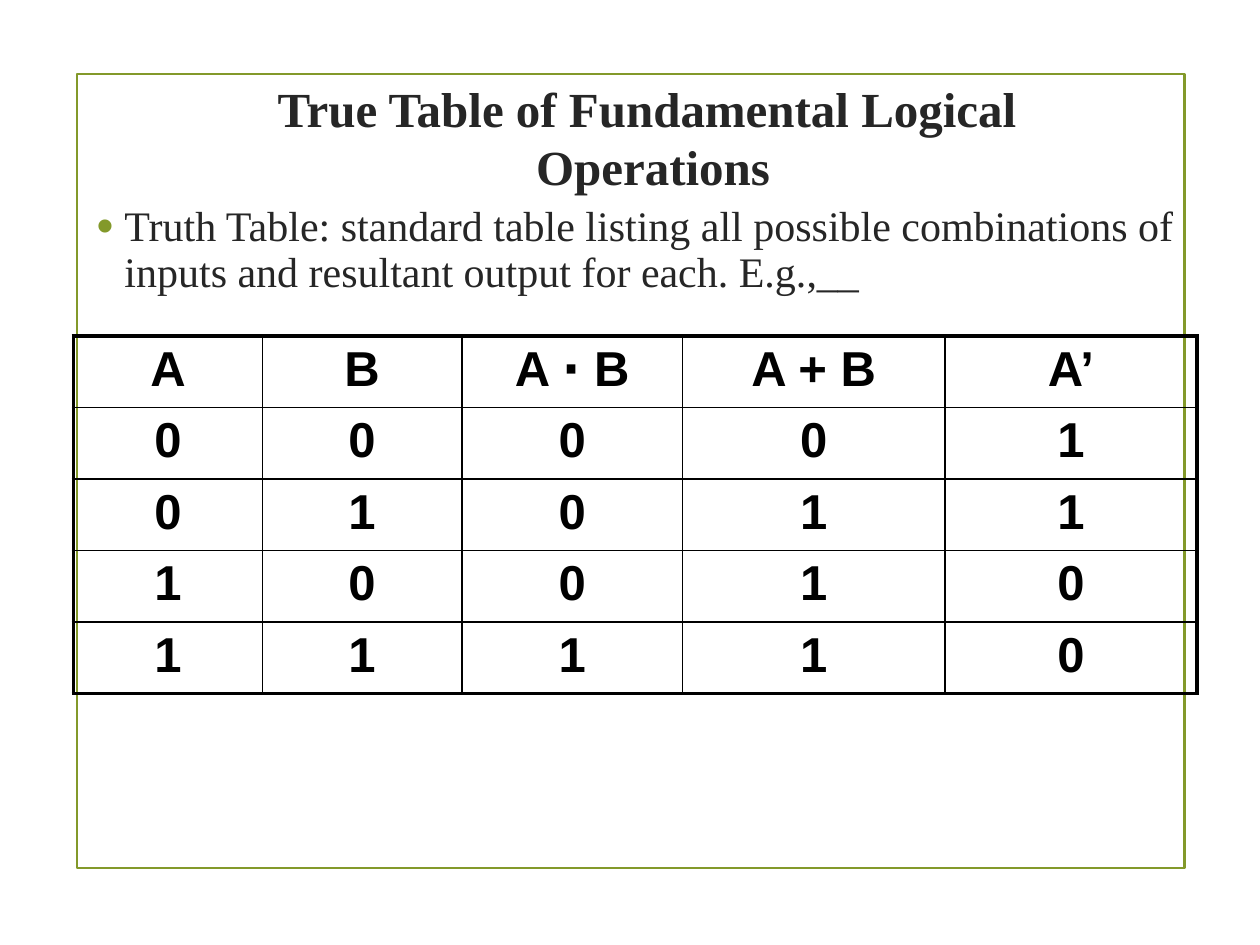
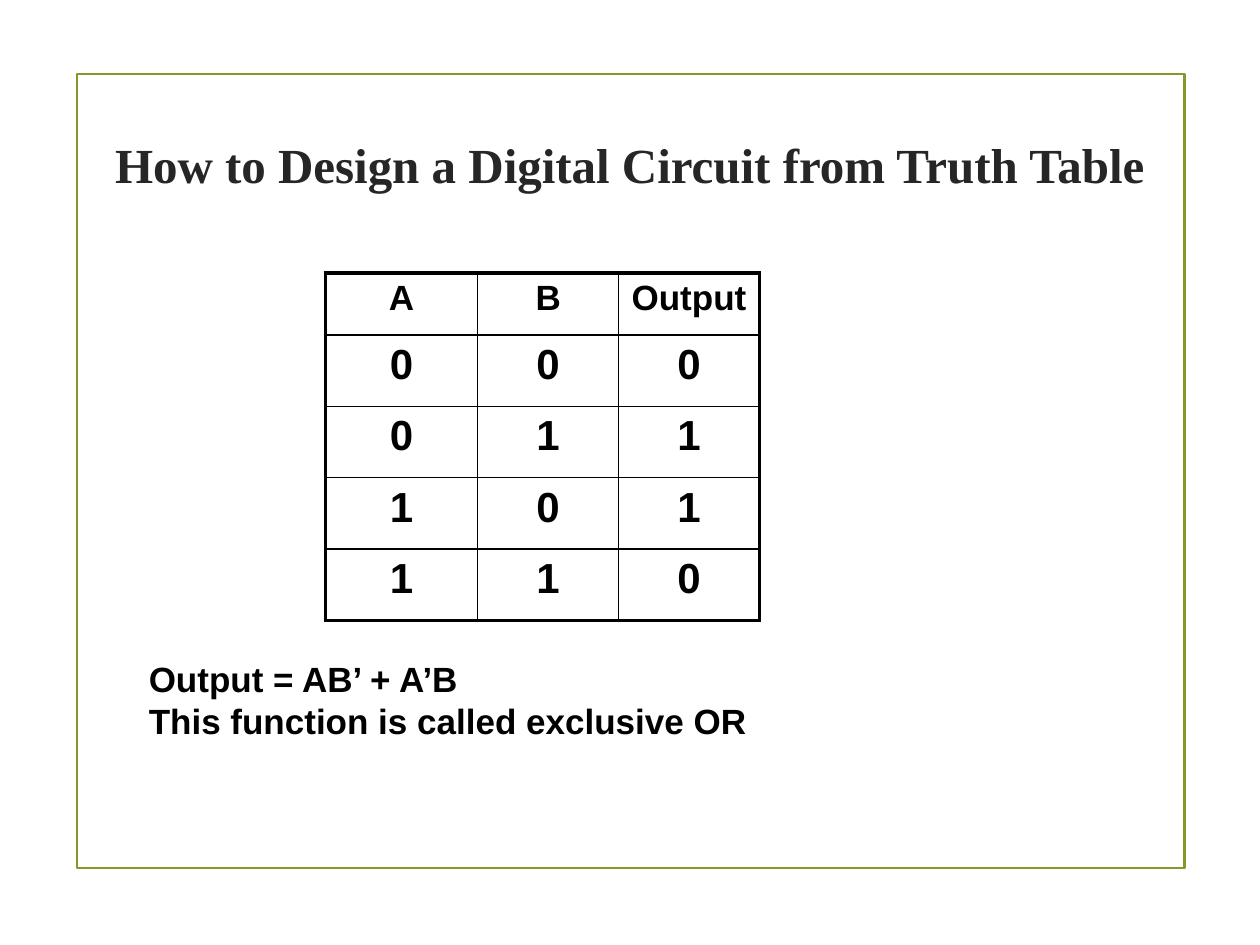
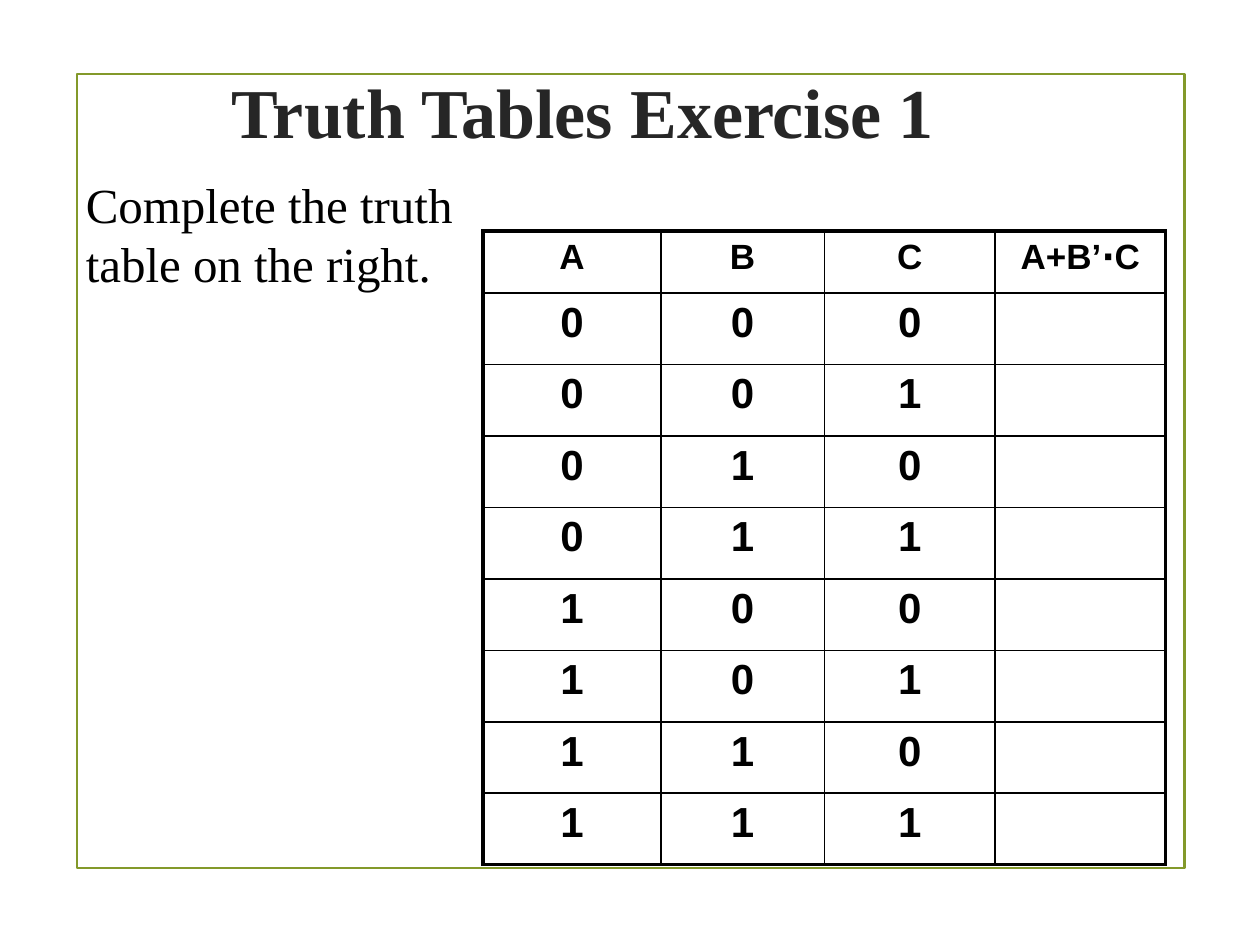
import itertools
import pptx
import pptx.dml.color
import pptx.enum.shapes
import pptx.enum.text
import pptx.oxml
import pptx.oxml.ns
import pptx.util
from dataclasses import dataclass

Cm = pptx.util.Cm
Pt = pptx.util.Pt
Align = pptx.enum.text.PP_ALIGN
Anchor = pptx.enum.text.MSO_ANCHOR


@dataclass(frozen=True)
class Theme:
    serif: str = "Times New Roman"
    sans: str = "Arial"
    black: str = "000000"
    dark: str = "262626"
    green: str = "83992A"
    small: int = 20
    mid: int = 24
    large: int = 28
    huge: int = 40
    thin: float = 1
    thick: float = 2.25
    frame: tuple = (1.55, 1.5, 22.33, 16)


THEME = Theme()


# Shared helpers
def color(code):
    return pptx.dml.color.RGBColor.from_string(code)


def box(spot):
    return [Cm(part) for part in spot]


def style(font, face, size, ink, bold=False):
    looks = {"name": face, "size": Pt(size), "bold": bold}
    for key, value in looks.items():
        setattr(font, key, value)
    font.color.rgb = color(ink)


def add_xml(parent, tag, body="", **attrs):
    extra = "".join(f' {key}="{value}"' for key, value in attrs.items())
    space = pptx.oxml.ns.nsdecls("a")
    parent.append(pptx.oxml.parse_xml(f"<a:{tag} {space}{extra}>{body}</a:{tag}>"))


# Slide with its green frame and its title
def add_slide(deck, title, spot, size):
    slide = deck.slides.add_slide(deck.slide_layouts[5])
    frame = slide.shapes.add_shape(
        pptx.enum.shapes.MSO_SHAPE.RECTANGLE, *box(THEME.frame))
    frame.shadow.inherit = False
    frame.fill.background()
    frame.line.color.rgb = color(THEME.green)
    frame.line.width = Pt(1.25)

    head = slide.shapes.title
    head.left, head.top, head.width, head.height = box(spot)
    text = head.text_frame
    text.text = title
    looks = {"auto_size": pptx.enum.text.MSO_AUTO_SIZE.NONE,
             "word_wrap": True, "vertical_anchor": Anchor.MIDDLE}
    for key, value in looks.items():
        setattr(text, key, value)
    for para in text.paragraphs:
        para.alignment = Align.CENTER
        for run in para.runs:
            style(run.font, THEME.serif, size, THEME.dark, True)
    return slide


# Plain lines of text
def add_lines(slide, spot, lines, face, size, bold=False, wrap=True):
    text = slide.shapes.add_textbox(*box(spot)).text_frame
    text.word_wrap = wrap
    text.text = "\n".join(lines)
    for para in text.paragraphs:
        style(para.runs[0].font, face, size, THEME.black, bold)


# Bulleted point that ends in an underlined gap
def add_point(slide, spot, words, gap):
    text = slide.shapes.add_textbox(*box(spot)).text_frame
    text.word_wrap = True
    para = text.paragraphs[0]
    para.line_spacing = 0.9
    para.space_after = Pt(6)
    props = para._p.get_or_add_pPr()
    indent = Cm(0.56)
    props.set("marL", str(indent))
    props.set("indent", str(-indent))
    add_xml(props, "buClr", f'<a:srgbClr val="{THEME.green}"/>')
    add_xml(props, "buSzPct", val=115000)
    add_xml(props, "buFont", typeface=THEME.sans)
    add_xml(props, "buChar", char="•")
    for part in (words, gap):
        run = para.add_run()
        run.text = part
        style(run.font, THEME.serif, THEME.mid, THEME.dark)


# Truth table with a thick outer edge
def add_edges(cell, outer):
    props = cell._tc.get_or_add_tcPr()
    for side in "LRTB":
        width = THEME.thick if side in outer else THEME.thin
        fill = f'<a:solidFill><a:srgbClr val="{THEME.black}"/></a:solidFill>'
        add_xml(props, f"ln{side}", fill, w=int(Pt(width)))


def add_truth(slide, left, top, cols, tall, heads, rows, sizes):
    head_size, bit_size = sizes
    data = [heads] + rows
    highs = [tall[0]] + [tall[1]] * len(rows)
    table = slide.shapes.add_table(
        len(data), len(cols), *box((left, top, sum(cols), sum(highs)))).table
    table.first_row = table.horz_banding = False
    for col, wide in zip(table.columns, cols):
        col.width = Cm(wide)
    for y, (row, line) in enumerate(zip(table.rows, data)):
        row.height = Cm(highs[y])
        for x, value in enumerate(line):
            cell = table.cell(y, x)
            edges = {"L": x == 0, "R": x == len(cols) - 1,
                     "T": y == 0, "B": y == len(rows)}
            add_edges(cell, [side for side, on in edges.items() if on])
            cell.fill.background()
            para = cell.text_frame.paragraphs[0]
            para.alignment = Align.CENTER
            if value != "":
                run = para.add_run()
                run.text = str(value)
                size = bit_size if y else head_size
                style(run.font, THEME.sans, size, THEME.black, True)


def list_bits(count, *rules):
    return [[*bits, *(rule(*bits) for rule in rules)]
            for bits in itertools.product((0, 1), repeat=count)]


def main():
    deck = pptx.Presentation()
    deck.slide_width, deck.slide_height = Cm(25.4), Cm(19.05)

    # Fundamental operations
    slide = add_slide(deck, "True Table of Fundamental Logical \vOperations",
                      (1.7, 1.7, 22.93, 2.12), THEME.large)
    add_point(slide, (1.7, 4.02, 23.28, 2.5),
              "Truth Table: standard table listing all possible combinations "
              "of inputs and resultant output for each. E.g.,", "__")
    rows = list_bits(2, lambda a, b: a & b, lambda a, b: a | b,
                     lambda a, b: 1 - a)
    add_truth(slide, 1.48, 6.77, (3.81, 4.02, 4.45, 5.29, 5.08), (1.35, 1.35),
              ["A", "B", "A ⋅ B", "A + B", "A’"], rows,
              (THEME.large, THEME.large))

    # Circuit from a truth table
    slide = add_slide(deck, "How to Design a Digital Circuit from Truth Table",
                      (1.48, 1.48, 22.43, 3.63), THEME.large)
    add_truth(slide, 6.56, 5.5, (3.07, 2.84, 2.84), (1.25, 1.44),
              ["A", "B", "Output"], list_bits(2, lambda a, b: a ^ b),
              (THEME.small, THEME.mid))
    add_lines(slide, (2.75, 13.13, 20.75, 1.96),
              ["Output = AB’ + A’B", "This function is called exclusive OR"],
              THEME.sans, THEME.small, bold=True)

    # Exercise with an empty result column
    slide = add_slide(deck, "Truth Tables Exercise 1",
                      (0.85, 0.64, 21.8, 3.18), THEME.huge)
    add_truth(slide, 9.74, 4.66, (3.58, 3.3, 3.44, 3.44), (1.25, 1.44),
              ["A", "B", "C", "A+B’⋅C"], list_bits(3, lambda *bits: ""),
              (THEME.small, THEME.mid))
    add_lines(slide, (1.48, 3.39, 8.23, 2.64),
              ["Complete the truth", "table on the right."],
              THEME.serif, THEME.large, wrap=False)

    deck.save("out.pptx")


if __name__ == "__main__":
    main()
